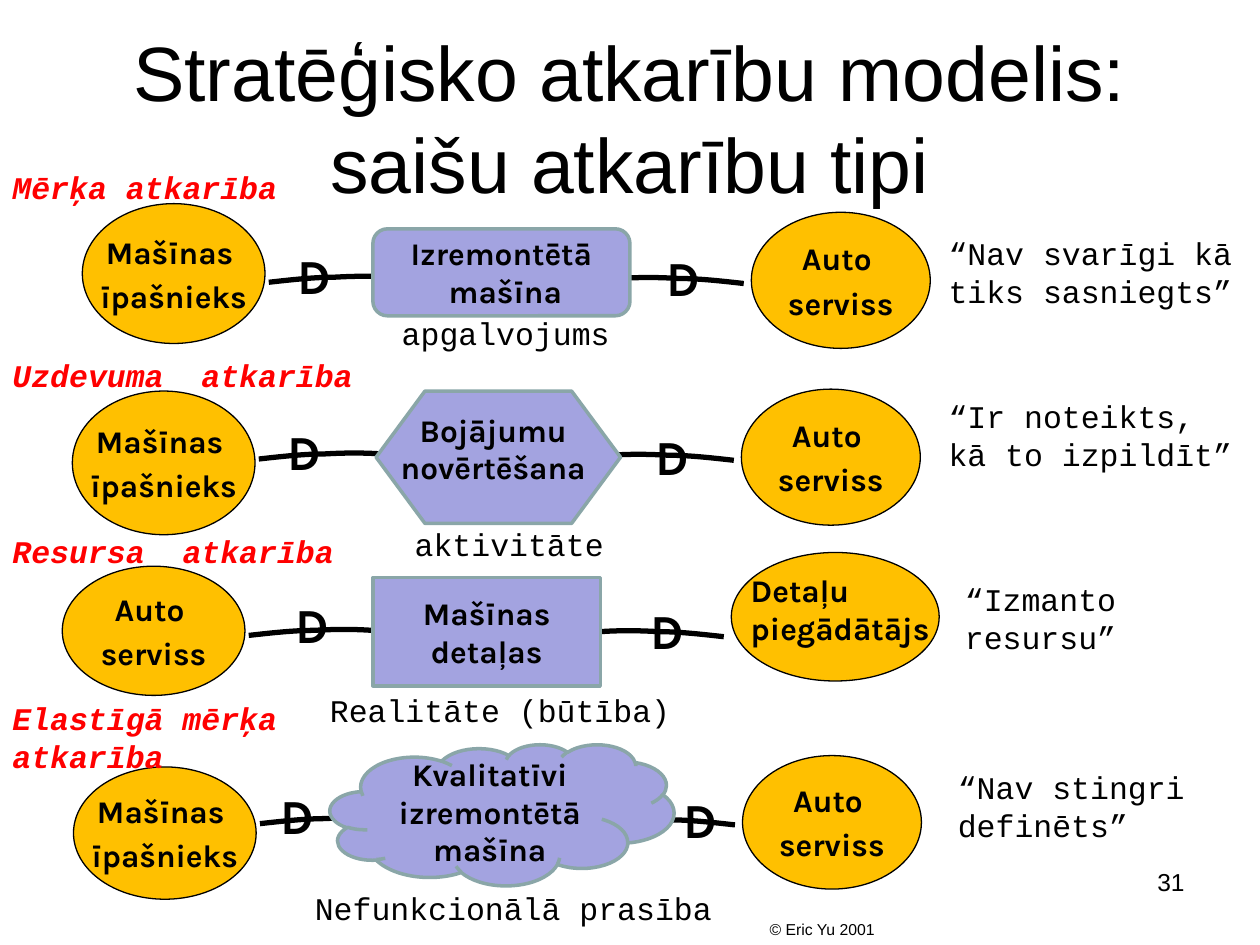
from dataclasses import dataclass
from typing import Optional

from lxml import etree
from pptx import Presentation
from pptx.dml.color import RGBColor
from pptx.enum.shapes import MSO_SHAPE
from pptx.enum.text import MSO_ANCHOR, MSO_AUTO_SIZE, PP_ALIGN
from pptx.oxml.ns import qn
from pptx.util import Emu, Inches, Pt

BLACK = RGBColor(0x00, 0x00, 0x00)
RED = RGBColor(0xFF, 0x00, 0x00)
AMBER = RGBColor(0xFF, 0xC0, 0x00)
LILAC = RGBColor(0xA3, 0xA3, 0xE0)
SAGE = RGBColor(0x8A, 0xA6, 0xA8)

# The slide is a grid of 100 columns by 75 rows.
COLUMNS, ROWS = 100, 75
CELL = Inches(0.1)

# Link geometry in cells, measured from the outer end of the left link:
# the start, then two control points and an end for each of two curves.
LINK_SPAN = 37.7
LINK_POINTS = ((0, 0), (1.8, -0.2), (3.6, -0.4), (5.2, -0.4),
               (6.9, -0.5), (8.3, -0.5), (9.8, -0.4))
DEPENDER_OFFSET, DEPENDEE_OFFSET = -14.8, 38.3


@dataclass(frozen=True)
class Box:
    """A rectangle in grid cells."""
    left: float
    top: float
    width: float
    height: float

    def emu(self) -> tuple[Emu, ...]:
        """Return the rectangle in slide units."""
        return tuple(Emu(round(v * CELL))
                     for v in (self.left, self.top, self.width, self.height))


@dataclass(frozen=True)
class Style:
    """Text formatting."""
    font: str
    size: float = 18
    color: RGBColor = BLACK
    bold: bool = False
    italic: bool = False
    align: PP_ALIGN = PP_ALIGN.LEFT
    before: float = 0


@dataclass(frozen=True)
class Note:
    """A piece of text and the box that holds it."""
    text: str
    box: Box


@dataclass(frozen=True)
class Actor:
    """An ellipse; its column follows from the link of its row."""
    text: str
    top: float
    width: float
    height: float


@dataclass(frozen=True)
class Dependency:
    """One row of the diagram."""
    heading: Note
    link: tuple[float, float]
    marks: tuple[tuple[float, float], tuple[float, float]]
    depender: Actor
    dependee: Actor
    shape: MSO_SHAPE
    dependum: Note
    caption: Note
    remark: Note
    overlay: Optional[Note] = None
    overlay_align: PP_ALIGN = PP_ALIGN.LEFT


NAME = Style("Karla", bold=True, align=PP_ALIGN.CENTER)
ACTOR_NAME = Style("Karla", bold=True, align=PP_ALIGN.CENTER, before=3.6)
MARK = Style("Karla", 28, bold=True)
MONO = Style("Courier New")
HEADING = Style("Courier New", color=RED, bold=True, italic=True)

OWNER = "Mašīnas \nīpašnieks"
GARAGE = "Auto \nserviss"

DEPENDENCIES = (
    Dependency(Note("Mērķa atkarība", Box(0, 12.83, 27.9, 4)),
               (21.33, 22.4), ((22.6, 19), (51.9, 19.15)),
               Actor(OWNER, 16.16, 14.5, 11.1), Actor(GARAGE, 16.85, 14.2, 10.8),
               MSO_SHAPE.FLOWCHART_ALTERNATE_PROCESS,
               Note("Izremontētā\n mašīna", Box(29.6, 18.16, 20.4, 6.9)),
               Note("apgalvojums", Box(30.9, 24.4, 20.4, 4)),
               Note("“Nav svarīgi kā tiks sasniegts”", Box(74.3, 18.06, 25.7, 7.1))),
    Dependency(Note("Uzdevuma  atkarība", Box(0, 27.74, 29.5, 4)),
               (20.54, 36.43), ((21.8, 33), (51.06, 33.36)),
               Actor(OWNER, 31.04, 14.5, 11.4), Actor(GARAGE, 30.88, 14.2, 10.8),
               MSO_SHAPE.FLOWCHART_PREPARATION,
               Note("", Box(29.85, 31.04, 19.4, 10.5)),
               Note("aktivitāte", Box(31.93, 41.14, 20.4, 4)),
               Note("“Ir noteikts, kā to izpildīt”", Box(74.3, 31, 25.7, 7.1)),
               Note("Bojājumu novērtēšana", Box(30, 32.1, 18.3, 7.1)),
               PP_ALIGN.CENTER),
    Dependency(Note("Resursa  atkarība", Box(0, 41.75, 29.5, 4)),
               (19.74, 50.43), ((22.5, 46.7), (50.64, 47.2)),
               Actor(GARAGE, 44.94, 14.5, 10.25), Actor("", 43.85, 16.5, 10.2),
               MSO_SHAPE.RECTANGLE,
               Note("Mašīnas detaļas", Box(29.6, 45.84, 18.05, 8.6)),
               Note("Realitāte (būtība)", Box(25.2, 54.35, 31, 4)),
               Note("“Izmanto resursu”", Box(75.6, 45.53, 24.4, 7.1)),
               Note("Detaļu piegādātājs", Box(58.6, 44.83, 17.8, 7.1))),
    Dependency(Note("Elastīgā mērķa  atkarība", Box(0, 55, 35.3, 7.1)),
               (20.63, 65.37), ((21.3, 61.86), (53.24, 62.2)),
               Actor(OWNER, 60.87, 14.5, 10.5), Actor(GARAGE, 59.97, 14.2, 10.6),
               MSO_SHAPE.CLOUD,
               Note("Kvalitatīvi izremontētā mašīna", Box(26.2, 59.07, 27.3, 11.2)),
               Note("Nefunkcionālā prasība", Box(24, 70.1, 35.5, 4)),
               Note("“Nav stingri definēts”", Box(75.04, 60.44, 21.3, 7.1))),
)


def write(frame, text: str, style: Style) -> None:
    """Fill a text frame, one paragraph per line of text."""
    for index, line in enumerate(text.split("\n")):
        paragraph = frame.add_paragraph() if index else frame.paragraphs[0]
        paragraph.alignment = style.align
        paragraph.space_before = Pt(style.before)
        run = paragraph.add_run()
        run.text = line
        font = run.font
        font.name, font.size = style.font, Pt(style.size)
        font.bold, font.italic = style.bold, style.italic
        font.color.rgb = style.color


def add_text(slide, note: Note, style: Style, wrap: bool = True) -> None:
    """Add a text box."""
    frame = slide.shapes.add_textbox(*note.box.emu()).text_frame
    frame.word_wrap = wrap
    write(frame, note.text, style)


def add_node(slide, kind: MSO_SHAPE, note: Note, style: Style, fill: RGBColor,
             line: RGBColor, weight: float, wrap: bool = True) -> None:
    """Add a filled preset shape with centred text."""
    node = slide.shapes.add_shape(kind, *note.box.emu())
    node.shadow.inherit = False
    node.fill.solid()
    node.fill.fore_color.rgb = fill
    node.line.color.rgb = line
    node.line.width = Pt(weight)
    node.text_frame.word_wrap = wrap
    node.text_frame.vertical_anchor = MSO_ANCHOR.MIDDLE
    if note.text:
        write(node.text_frame, note.text, style)


def add_actor(slide, actor: Actor, left: float) -> None:
    """Add an actor ellipse."""
    box = Box(left, actor.top, actor.width, actor.height)
    add_node(slide, MSO_SHAPE.OVAL, Note(actor.text, box), ACTOR_NAME,
             AMBER, BLACK, 0.75, wrap=False)


def curve_segments(path) -> None:
    """Turn every three straight segments of a path into one cubic curve."""
    lines = path.findall(qn("a:lnTo"))
    for start in range(0, len(lines), 3):
        curve = etree.SubElement(path, qn("a:cubicBezTo"))
        for line in lines[start:start + 3]:
            curve.append(line[0])
            path.remove(line)


def add_link(slide, x: float, y: float, direction: int) -> None:
    """Add a curved link from its outer end; direction -1 mirrors it."""
    points = [(round((x + direction * dx) * CELL), round((y + dy) * CELL))
              for dx, dy in LINK_POINTS]
    builder = slide.shapes.build_freeform(*points[0])
    builder.add_line_segments(points[1:], close=False)
    link = builder.convert_to_shape()
    curve_segments(next(link.element.iter(qn("a:path"))))
    link.shadow.inherit = False
    link.fill.background()
    link.line.color.rgb = BLACK
    link.line.width = Pt(3)


def add_dependency(slide, row: Dependency) -> None:
    """Draw one row: actors, links, marks, dependum and notes."""
    x, y = row.link
    add_actor(slide, row.depender, x + DEPENDER_OFFSET)
    add_actor(slide, row.dependee, x + DEPENDEE_OFFSET)
    add_link(slide, x, y, 1)
    add_link(slide, x + LINK_SPAN, y + 0.1, -1)
    for left, top in row.marks:
        add_text(slide, Note("D", Box(left, top, 3.2, 5.7)), MARK)
    add_node(slide, row.shape, row.dependum, NAME, LILAC, SAGE, 2)
    if row.overlay:
        add_text(slide, row.overlay, Style("Karla", bold=True, align=row.overlay_align))
    add_text(slide, row.caption, MONO)
    add_text(slide, row.remark, MONO)
    add_text(slide, row.heading, HEADING)


def main() -> None:
    """Build and save the slide."""
    deck = Presentation()
    deck.slide_width, deck.slide_height = COLUMNS * CELL, ROWS * CELL
    slide = deck.slides.add_slide(deck.slide_layouts[5])
    title = slide.shapes.title
    title.left, title.top, title.width, title.height = Box(5, 3, 90, 12.5).emu()
    title.text_frame.auto_size = MSO_AUTO_SIZE.NONE
    title.text_frame.vertical_anchor = MSO_ANCHOR.MIDDLE
    write(title.text_frame, "Stratēģisko atkarību modelis: saišu atkarību tipi",
          Style("Arial", 44, align=PP_ALIGN.CENTER))
    for row in DEPENDENCIES:
        add_dependency(slide, row)
    add_text(slide, Note("© Eric Yu 2001", Box(60.1, 72.5, 10.9, 2.5)),
             Style("Arial", 9), wrap=False)
    add_text(slide, Note("31", Box(71.7, 68.3, 23.3, 5.2)),
             Style("Arial", 14, align=PP_ALIGN.RIGHT))
    deck.save("out.pptx")


main()
